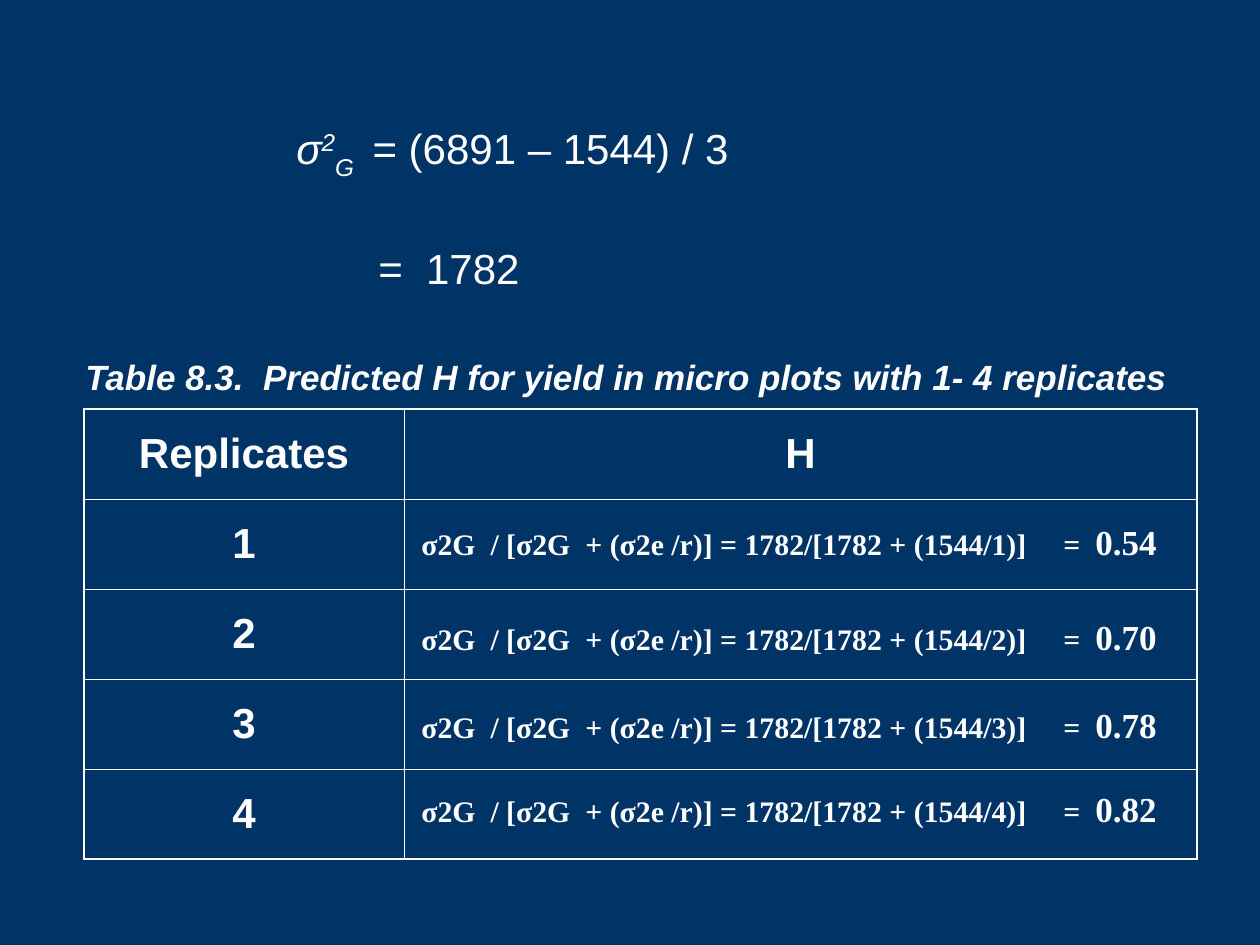
from lxml import etree
from pptx import Presentation
from pptx.dml.color import RGBColor
from pptx.enum.text import MSO_ANCHOR, MSO_AUTO_SIZE, PP_ALIGN
from pptx.oxml.ns import qn
from pptx.util import Emu, Pt

CENTER, LEFT = PP_ALIGN.CENTER, PP_ALIGN.LEFT
MIDDLE = MSO_ANCHOR.MIDDLE
NO_AUTOFIT = MSO_AUTO_SIZE.NONE
NAVY = RGBColor(0x00, 0x33, 0x66)
WHITE = RGBColor(0xFF, 0xFF, 0xFF)
SANS, SERIF = "Arial", "Times New Roman"

VARIANCE = [("σ", {"italic": True}),
            ("2", {"italic": True, "baseline": 30}),
            ("G ", {"italic": True, "baseline": -30}),
            (" = (6891 – 1544) / 3", {})]
VARIANCE_RESULT = [("=  1782", {})]
CAPTION = "Table 8.3.  Predicted H for yield in micro plots with 1- 4 replicates"
HEADERS = ["Replicates", "H"]
FORMULA = "σ2G  / [σ2G  + (σ2e /r)] = 1782/[1782 + (1544/{})]\t=  "
# replicates, predicted H, top of its formula in px
PREDICTIONS = [("1", "0.54", 514), ("2", "0.70", 609),
               ("3", "0.78", 697), ("4", "0.82", 781)]

TABLE_LEFT, TABLE_TOP = 84, 409
COLUMN_WIDTHS = [320, 793]
ROW_HEIGHT = 90
FORMULA_LEFT, FORMULA_WIDTH, FORMULA_TAB = 409, 788, 642
LINE_HEIGHT = 55
OUTER_LINE, INNER_LINE = Pt(1.08), Pt(0.45)


def px(length):
    return Emu(round(length * 914400 / 126))


def write(paragraph, runs, size=24, font=SANS, bold=False, align=LEFT,
          space_before=0, indent=0, tab=None):
    """Fill a paragraph with (text, overrides) runs; indent and tab are in px."""
    properties = paragraph._p.get_or_add_pPr()
    if indent:
        properties.set("marL", str(px(indent)))
    if tab:
        tabs = etree.SubElement(properties, qn("a:tabLst"))
        etree.SubElement(tabs, qn("a:tab"), pos=str(px(tab)), algn="l")
    paragraph.alignment = align
    if space_before:
        paragraph.space_before = Pt(space_before)
    for text, overrides in runs:
        run = paragraph.add_run()
        run.text = text
        run.font.name = font
        run.font.size = Pt(overrides.get("size", size))
        run.font.bold = bold
        run.font.italic = overrides.get("italic", False)
        run.font.color.rgb = WHITE
        if "baseline" in overrides:
            run.font._element.set("baseline", str(overrides["baseline"] * 1000))


def add_box(slide, left, top, width, height):
    frame = slide.shapes.add_textbox(px(left), px(top), px(width), px(height)).text_frame
    frame.word_wrap = True
    frame.auto_size = NO_AUTOFIT
    return frame


def set_borders(cell, widths):
    properties = cell._tc.get_or_add_tcPr()
    for side, width in widths.items():
        line = etree.SubElement(properties, qn(f"a:ln{side}"), w=str(width))
        fill = etree.SubElement(line, qn("a:solidFill"))
        etree.SubElement(fill, qn("a:srgbClr"), val=str(WHITE))


def add_replicates_table(slide):
    rows = [HEADERS] + [[replicates, ""] for replicates, _, _ in PREDICTIONS]
    last_row, last_column = len(rows) - 1, len(HEADERS) - 1
    table = slide.shapes.add_table(
        len(rows), len(HEADERS), px(TABLE_LEFT), px(TABLE_TOP),
        px(sum(COLUMN_WIDTHS)), px(ROW_HEIGHT * len(rows))).table
    table.first_row = table.horz_banding = False
    for column, width in zip(table.columns, COLUMN_WIDTHS):
        column.width = px(width)
    for r, row in enumerate(rows):
        table.rows[r].height = px(ROW_HEIGHT)
        for c, text in enumerate(row):
            cell = table.cell(r, c)
            outer = {"L": c == 0, "R": c == last_column,
                     "T": r == 0, "B": r == last_row}
            set_borders(cell, {side: OUTER_LINE if is_outer else INNER_LINE
                               for side, is_outer in outer.items()})
            cell.fill.background()
            cell.vertical_anchor = MIDDLE
            if text:
                write(cell.text_frame.paragraphs[0], [(text, {})],
                      bold=True, align=CENTER)


def main():
    presentation = Presentation()
    presentation.slide_width, presentation.slide_height = px(1260), px(945)
    slide = presentation.slides.add_slide(presentation.slide_layouts[6])
    slide.background.fill.solid()
    slide.background.fill.fore_color.rgb = NAVY

    equation = add_box(slide, 284, 116, 882, 173)
    write(equation.paragraphs[0], VARIANCE)
    write(equation.add_paragraph(), VARIANCE_RESULT, space_before=35, indent=82)

    caption = add_box(slide, 73, 349, 1187, LINE_HEIGHT)
    write(caption.paragraphs[0], [(CAPTION, {"italic": True})], size=20, bold=True)

    add_replicates_table(slide)
    for replicates, heritability, top in PREDICTIONS:
        formula = add_box(slide, FORMULA_LEFT, top, FORMULA_WIDTH, LINE_HEIGHT)
        write(formula.paragraphs[0],
              [(FORMULA.format(replicates), {}), (heritability, {"size": 20})],
              size=17, font=SERIF, bold=True, tab=FORMULA_TAB)

    presentation.save("out.pptx")


if __name__ == "__main__":
    main()
